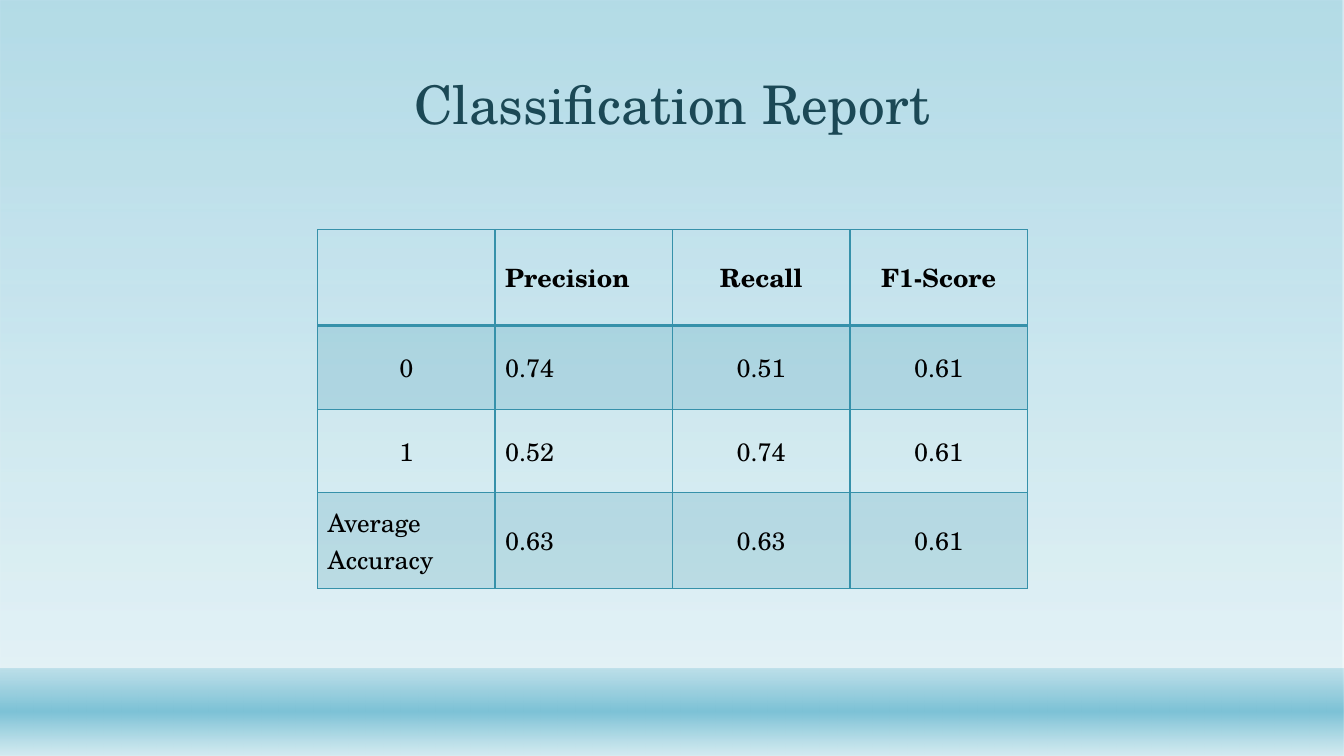
import pptx
import pptx.util
import pptx.dml.color
import pptx.enum.shapes
import pptx.enum.text
import pptx.oxml
import pptx.oxml.ns
from pptx.util import Inches

FONT = "TeX Gyre Schola"
TEAL = "3691AA"
TITLE = "Classification Report"
ROWS = [
    ("", "Precision", "Recall", "F1-Score"),
    ("0", "0.74", "0.51", "0.61"),
    ("1", "0.52", "0.74", "0.61"),
    ("Average Accuracy", "0.63", "0.63", "0.61"),
]
ROW_HEIGHTS = (0.95, 0.83, 0.83, 0.95)
COLUMN_WIDTH = 1.76
TABLE_LEFT, TABLE_TOP = 3.15, 2.28
BANDS = [
    (0, 7.5, [(0, "7DC2D6", 58), (88, "D4EBF1", 65)]),
    (6.63, 0.87, [(1, "7DC2D6", 38), (49, "7DC2D6", 100), (100, "D4EBF1", 89)]),
]
ALIGN = pptx.enum.text.PP_ALIGN
ANCHOR = pptx.enum.text.MSO_ANCHOR
NAMESPACE = pptx.oxml.ns.nsdecls("a")


def color(value):
    return pptx.dml.color.RGBColor.from_string(value)


def apply(target, values):
    for name, value in values.items():
        setattr(target, name, value)


def write(frame, text, size, hex_color, bold, alignment, spacing=None):
    frame.text = text
    paragraph = frame.paragraphs[0]
    apply(paragraph, {"alignment": alignment, "line_spacing": spacing})
    apply(paragraph.font, {"name": FONT, "size": pptx.util.Pt(size), "bold": bold})
    paragraph.font.color.rgb = color(hex_color)


def color_xml(value, opacity):
    return f'<a:srgbClr val="{value}"><a:alpha val="{opacity * 1000}"/></a:srgbClr>'


def add_band(slide, index, top, height, stops):
    shape = slide.shapes.add_shape(
        pptx.enum.shapes.MSO_SHAPE.RECTANGLE, 0, Inches(top), Inches(13.33), Inches(height))
    shape.shadow.inherit = False
    shape.line.fill.background()
    stop_xml = "".join(
        f'<a:gs pos="{position * 1000}">{color_xml(value, opacity)}</a:gs>'
        for position, value, opacity in stops)
    gradient = pptx.oxml.parse_xml(
        f'<a:gradFill {NAMESPACE} rotWithShape="1"><a:gsLst>{stop_xml}</a:gsLst>'
        '<a:lin ang="5400000" scaled="0"/></a:gradFill>')
    shape._element.spPr.find(pptx.oxml.ns.qn("a:prstGeom")).addnext(gradient)
    slide.shapes._spTree.insert(2 + index, shape._element)


def format_cell(cell, row, column):
    properties = cell._tc.get_or_add_tcPr()
    for side in "LRTB":
        thick = (row == 0 and side == "B") or (row == 1 and side == "T")
        properties.append(pptx.oxml.parse_xml(
            f'<a:ln{side} {NAMESPACE} w="{25400 if thick else 12700}">'
            f'<a:solidFill><a:srgbClr val="{TEAL}"/></a:solidFill></a:ln{side}>'))
    if row % 2:
        properties.append(pptx.oxml.parse_xml(
            f'<a:solidFill {NAMESPACE}>{color_xml(TEAL, 20)}</a:solidFill>'))
    else:
        cell.fill.background()
    cell.vertical_anchor = ANCHOR.MIDDLE
    left = column == 1 or (row == 3 and column == 0)
    write(cell.text_frame, ROWS[row][column], 18, "000000", row == 0,
          ALIGN.LEFT if left else ALIGN.CENTER)


presentation = pptx.Presentation()
apply(presentation, {"slide_width": Inches(13.33), "slide_height": Inches(7.5)})
slide = presentation.slides.add_slide(presentation.slide_layouts[5])

for index, band in enumerate(BANDS):
    add_band(slide, index, *band)

title = slide.shapes.title
apply(title, {"left": Inches(1.47), "top": Inches(0.21),
              "width": Inches(10.4), "height": Inches(1.19)})
write(title.text_frame, TITLE, 38, "1B4855", False, ALIGN.CENTER, 0.9)
apply(title.text_frame, {"vertical_anchor": ANCHOR.BOTTOM, "word_wrap": True,
                         "auto_size": pptx.enum.text.MSO_AUTO_SIZE.NONE})

table = slide.shapes.add_table(
    len(ROWS), len(ROWS[0]), Inches(TABLE_LEFT), Inches(TABLE_TOP),
    Inches(COLUMN_WIDTH * len(ROWS[0])), Inches(sum(ROW_HEIGHTS))).table
apply(table, {"first_row": False, "horz_banding": False})
for column in table.columns:
    column.width = Inches(COLUMN_WIDTH)
for row_index, height in enumerate(ROW_HEIGHTS):
    table.rows[row_index].height = Inches(height)
    for column_index in range(len(ROWS[0])):
        format_cell(table.cell(row_index, column_index), row_index, column_index)

presentation.save("out.pptx")
